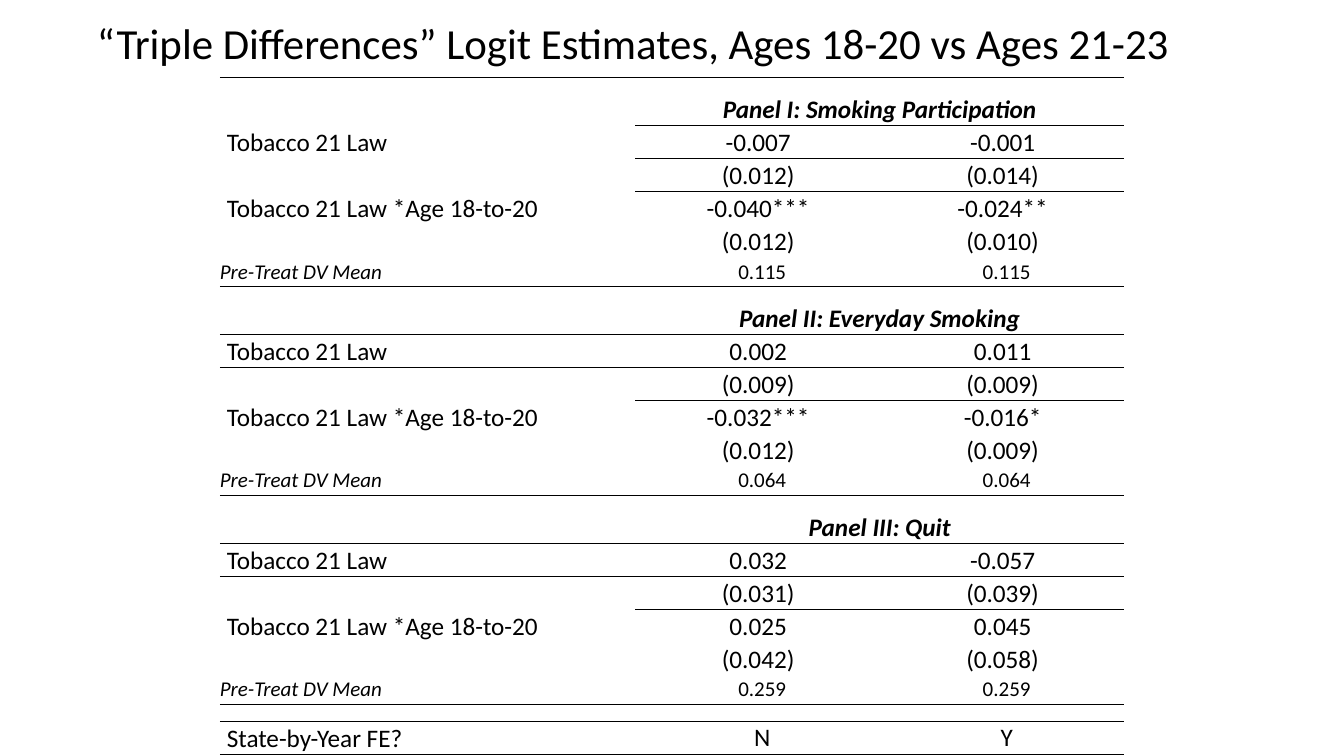
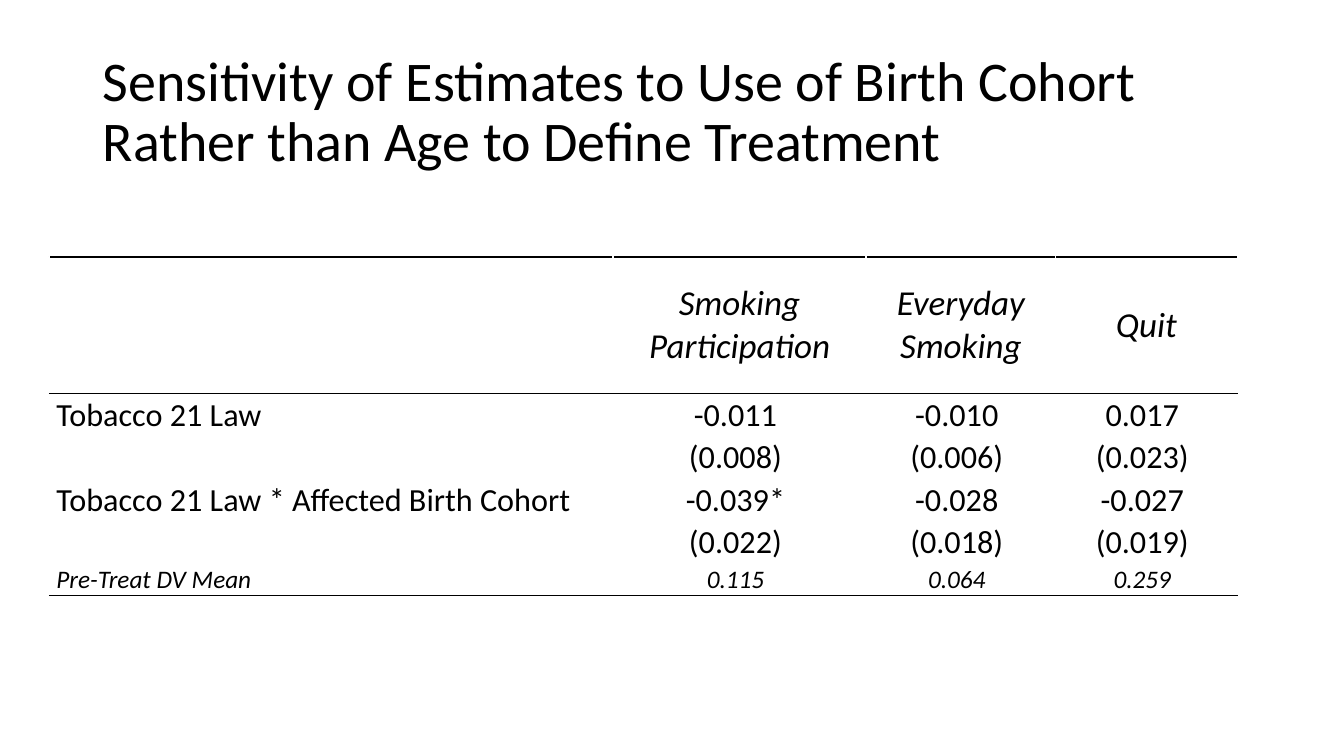
from dataclasses import dataclass

from lxml.etree import SubElement
from pptx import Presentation
from pptx.dml.color import RGBColor as RGB
from pptx.enum.text import MSO_ANCHOR as Anchor, MSO_AUTO_SIZE as AutoSize, PP_ALIGN as Align
from pptx.oxml.ns import qn
from pptx.util import Inches, Pt


@dataclass(frozen=True)
class Theme:
    font: str = "Calibri"
    ink: str = "000000"
    paper: str = "FFFFFF"
    rule: float = 1
    blank: int = 10
    no_grid: str = "{2D5ABB26-0587-4C30-8999-92F81FD0307C}"


THEME = Theme()


def cell_style(size, align=Align.CENTER, anchor=Anchor.MIDDLE, spacing=1.0,
               margins=(0, 0, 0, 0), bold=False, italic=False):
    sides = ("left", "top", "right", "bottom")
    return {
        "font": {"size": Pt(size), "bold": bold, "italic": italic},
        "paragraph": {"alignment": align, "line_spacing": spacing},
        "cell": {"vertical_anchor": anchor,
                 **{f"margin_{side}": Inches(gap) for side, gap in zip(sides, margins)}},
    }


def label_style(size, italic=False):
    return cell_style(size, Align.LEFT, Anchor.TOP, 1.07, (0.07, 0, 0.07, 0), italic=italic)


def value_style(size, italic=False):
    return cell_style(size, Align.CENTER, Anchor.TOP, 1.07, (0.03, 0, 0.11, 0), italic=italic)


# Each row kind has a style for its label and one for its values
PANEL_STYLES = {
    "heading": (label_style(18), cell_style(18, anchor=Anchor.BOTTOM, margins=(0, 0.17, 0, 0),
                                            bold=True, italic=True)),
    "estimate": (label_style(18), value_style(18)),
    "mean": (cell_style(15, Align.LEFT, italic=True), cell_style(15)),
    "spacer": (label_style(10), value_style(10)),
    "effects": (label_style(18), cell_style(18)),
}
COHORT_STYLES = {
    "heading": (label_style(25), cell_style(25, margins=(0.1, 0.05, 0.1, 0.05), italic=True)),
    "estimate": (label_style(23), value_style(23)),
    "mean": (label_style(18, True), value_style(18, True)),
}

LAW = "Tobacco 21 Law"
MEAN = "Pre-Treat DV Mean"
PANELS = [
    ("Panel I: Smoking Participation",
     [("-0.007", "-0.001"), ("(0.012)", "(0.014)"), ("-0.040***", "-0.024**"), ("(0.012)", "(0.010)")],
     "0.115"),
    ("Panel II: Everyday Smoking",
     [("0.002", "0.011"), ("(0.009)", "(0.009)"), ("-0.032***", "-0.016*"), ("(0.012)", "(0.009)")],
     "0.064"),
    ("Panel III: Quit",
     [("0.032", "-0.057"), ("(0.031)", "(0.039)"), ("0.025", "0.045"), ("(0.042)", "(0.058)")],
     "0.259"),
]
COHORT_ESTIMATES = [
    ("-0.011", "-0.010", "0.017"), ("(0.008)", "(0.006)", "(0.023)"),
    ("-0.039*", "-0.028", "-0.027"), ("(0.022)", "(0.018)", "(0.019)"),
]


def apply(target, values):
    for name, value in values.items():
        setattr(target, name, value)


def color_text(font):
    font.name = THEME.font
    font.color.rgb = RGB.from_string(THEME.ink)


def add_title(slide, text, box, size, anchor=Anchor.MIDDLE):
    title = slide.shapes.title
    apply(title, dict(zip(("left", "top", "width", "height"), map(Inches, box))))
    frame = title.text_frame
    apply(frame, {"text": text, "word_wrap": True, "auto_size": AutoSize.NONE,
                  "vertical_anchor": anchor})
    line = frame.paragraphs[0]
    apply(line, {"alignment": Align.LEFT, "line_spacing": 0.9})
    line.font.size = Pt(size)
    color_text(line.font)


def fill_cell(cell, text, style):
    cell.fill.background()
    apply(cell, style["cell"])
    line = cell.text_frame.paragraphs[0]
    apply(line, style["paragraph"])
    if text:
        run = line.add_run()
        run.text = text
        apply(run.font, style["font"])
        color_text(run.font)
    else:
        # An empty cell must not stretch its row
        apply(cell, {"margin_top": 0, "margin_bottom": 0})
        SubElement(line._p, qn("a:endParaRPr"), sz=str(THEME.blank * 100))


def border_cell(cell, colors):
    """Draw the sides given as {L, R, T, B: colour}, ahead of the cell's fill."""
    properties = cell._tc.get_or_add_tcPr()
    for index, (side, color) in enumerate(colors.items()):
        border = SubElement(properties, qn(f"a:ln{side}"), w=str(Pt(THEME.rule)))
        SubElement(SubElement(border, qn("a:solidFill")), qn("a:srgbClr"), val=color)
        properties.insert(index, border)


def add_estimates(slide, origin, widths, heights, rows, styles, rules, grid=None):
    """rows: (kind, texts); rules: (row edge, first ruled column); grid: colour of other borders."""
    left, top = origin
    frame = slide.shapes.add_table(len(rows), len(widths), Inches(left), Inches(top),
                                   Inches(sum(widths)), Inches(sum(heights)))
    for style_id in frame.element.iter(qn("a:tableStyleId")):
        style_id.text = THEME.no_grid
    table = frame.table
    apply(table, {"first_row": False, "horz_banding": False})
    for column, width in zip(table.columns, widths):
        column.width = Inches(width)
    for row, height in zip(table.rows, heights):
        row.height = Inches(height)

    ruled = {(edge, c) for edge, first in rules for c in range(first, len(widths))}
    for r, (kind, texts) in enumerate(rows):
        label, value = styles[kind]
        for c, text in enumerate(texts):
            cell = table.cell(r, c)
            fill_cell(cell, text, value if c else label)
            sides = {"L": grid, "R": grid,
                     "T": THEME.ink if (r, c) in ruled else grid,
                     "B": THEME.ink if (r + 1, c) in ruled else grid}
            border_cell(cell, {side: color for side, color in sides.items() if color})
    return table


def estimate_rows(interaction, estimates):
    labels = (LAW, "", interaction, "")
    return [("estimate", (label, *values)) for label, values in zip(labels, estimates)]


def triple_differences(slide):
    add_title(slide, "“Triple Differences” Logit Estimates, Ages 18-20 vs Ages 21-23",
              (0.86, -0.32, 11.5, 1.05), 30.6, Anchor.BOTTOM)
    rows, heights, rules, headings = [], [], [], []
    for heading, estimates, mean in PANELS:
        start = len(rows)
        headings.append(start)
        rules += [(start, 0), (start + 1, 0 if start else 1), (start + 2, 1)]
        rows += [("heading", ("", heading, "")),
                 *estimate_rows(f"{LAW} *Age 18-to-20", estimates),
                 ("mean", (MEAN, mean, mean))]
        heights += [0.45, *[0.3] * 4, 0.29]
    # Closing row on fixed effects, after a narrow gap
    rules += [(len(rows) + step, 0) for step in range(3)]
    rows += [("spacer", ("", "", "")), ("effects", ("State-by-Year FE?", "N", "Y"))]
    heights += [0.17, 0.3]
    table = add_estimates(slide, (2.18, 0.77), (4.12, 2.52, 2.33), heights, rows,
                          PANEL_STYLES, rules)
    for start in headings:
        table.cell(start, 1).merge(table.cell(start, 2))


def birth_cohort(slide):
    add_title(slide, "Sensitivity of Estimates to Use of Birth Cohort Rather than Age "
                     "to Define Treatment", (0.92, 0.4, 11.5, 1.45), 40)
    rows = [("heading", ("", "Smoking Participation", "Everyday Smoking", "Quit")),
            *estimate_rows(f"{LAW} * Affected Birth Cohort", COHORT_ESTIMATES),
            ("mean", (MEAN, *(mean for _, _, mean in PANELS)))]
    add_estimates(slide, (0.49, 2.55), (5.59, 2.51, 1.88, 1.8),
                  (1.35, 0.42, 0.42, 0.38, 0.42, 0.26), rows, COHORT_STYLES,
                  [(0, 0), (1, 0), (len(rows), 0)], THEME.paper)


def main():
    deck = Presentation()
    apply(deck, {"slide_width": Inches(13.33), "slide_height": Inches(7.5)})
    title_only = deck.slide_layouts.get_by_name("Title Only")
    for build in (triple_differences, birth_cohort):
        build(deck.slides.add_slide(title_only))
    deck.save("out.pptx")


if __name__ == "__main__":
    main()
